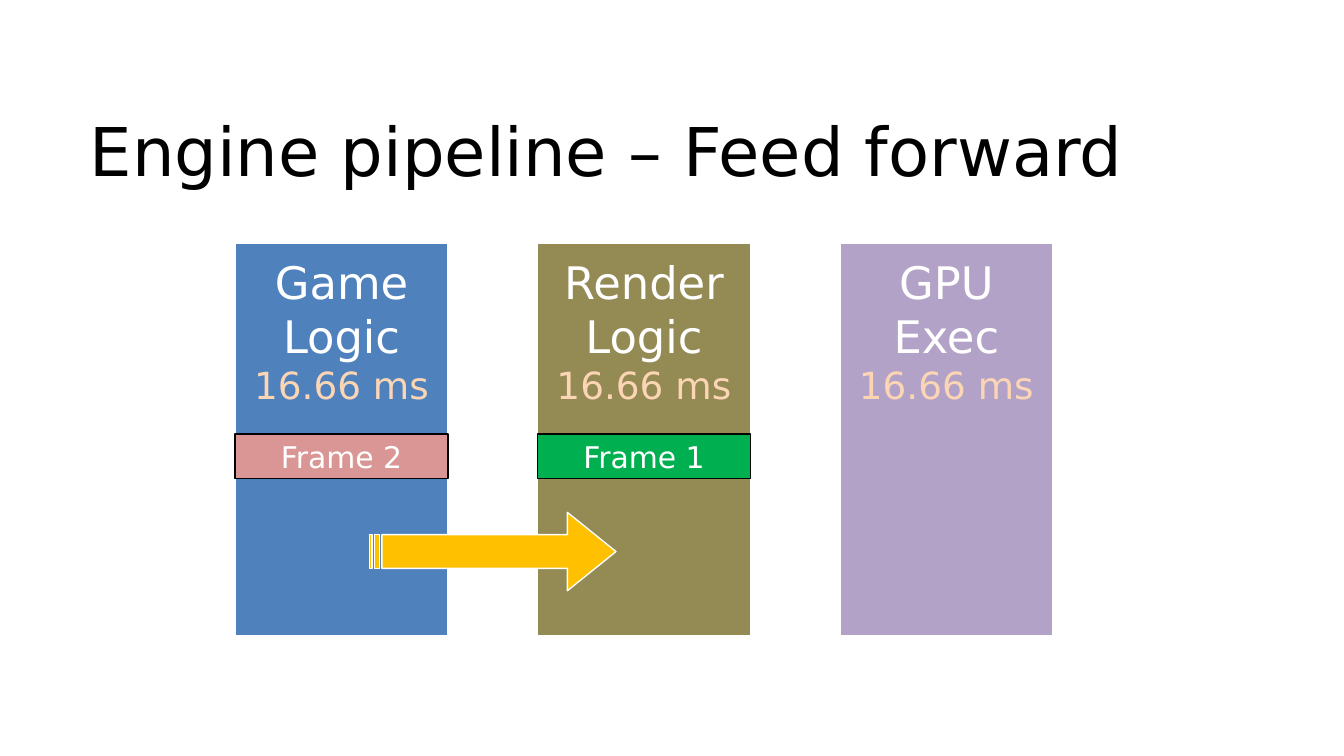
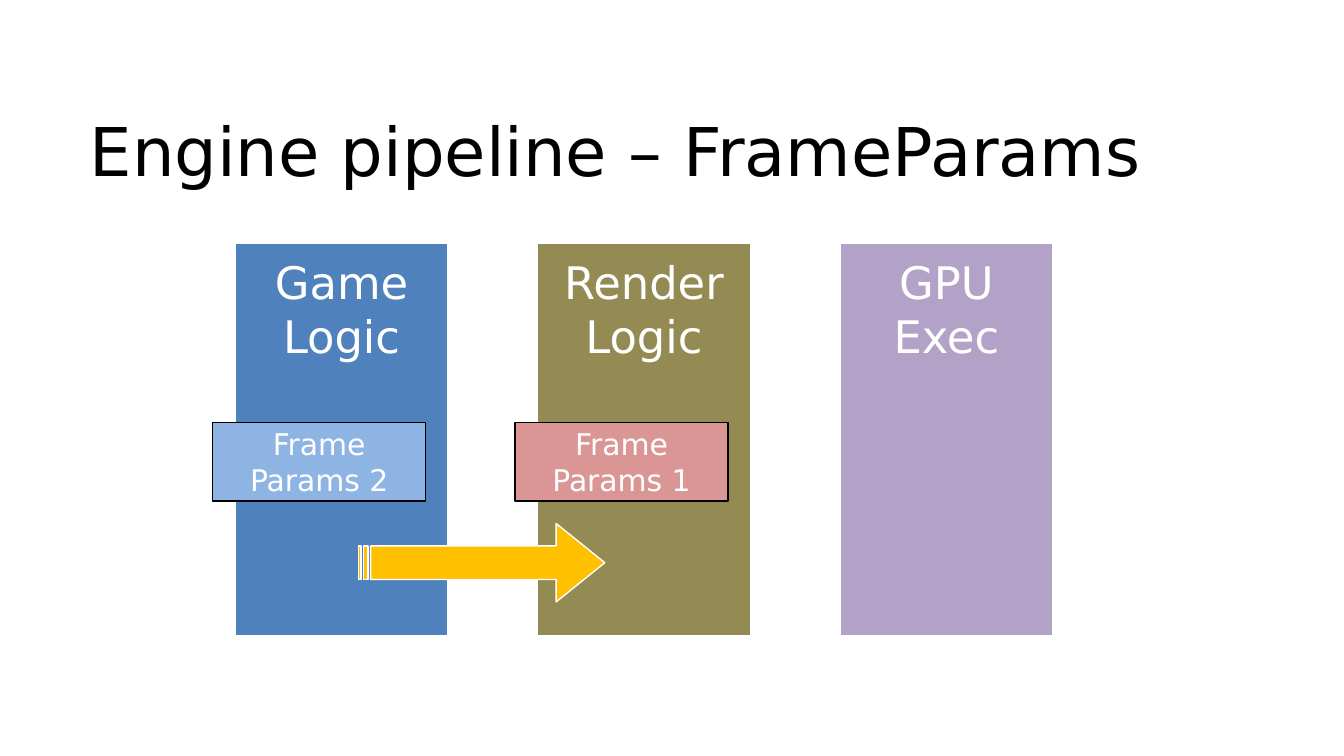
from pptx import Presentation
from pptx.dml.color import RGBColor
from pptx.enum.shapes import MSO_SHAPE
from pptx.enum.text import MSO_ANCHOR, PP_ALIGN
from pptx.util import Pt

RECT = MSO_SHAPE.RECTANGLE
STRIPED_ARROW = MSO_SHAPE.STRIPED_RIGHT_ARROW
TOP, MIDDLE = MSO_ANCHOR.TOP, MSO_ANCHOR.MIDDLE
LEFT, CENTER = PP_ALIGN.LEFT, PP_ALIGN.CENTER

BLACK = RGBColor(0x00, 0x00, 0x00)
WHITE = RGBColor(0xFF, 0xFF, 0xFF)
BLUE = RGBColor(0x4F, 0x81, 0xBD)
OLIVE = RGBColor(0x94, 0x8A, 0x54)
PURPLE = RGBColor(0xB3, 0xA2, 0xC7)
PEACH = RGBColor(0xFC, 0xD5, 0xB5)
ROSE = RGBColor(0xD9, 0x96, 0x94)
GREEN = RGBColor(0x00, 0xB0, 0x50)
SKY = RGBColor(0x8E, 0xB4, 0xE3)
AMBER = RGBColor(0xFF, 0xC0, 0x00)

FONT = "DejaVu Sans"
INSET = 6
STAGE_LEFT, STAGE_TOP, STAGE_PITCH = 126, 130.5, 162
STAGE_WIDTH, STAGE_HEIGHT = 114, 210
STAGES = [("Game Logic", BLUE), ("Render Logic", OLIVE), ("GPU Exec", PURPLE)]


class Deck:
    """Holds the shared style and the current slide."""

    def __init__(self):
        self.prs = Presentation()
        self.prs.slide_width, self.prs.slide_height = Pt(720), Pt(405)
        self.s = None

    def new_slide(self, title):
        self.s = self.prs.slides.add_slide(self.prs.slide_layouts[6])
        sp = self.s.shapes.add_textbox(Pt(42), Pt(52.5), Pt(636), Pt(61))
        self.set_text(sp, [(title, 36, BLACK)], TOP, LEFT)

    def set_text(self, sp, lines, anchor, align):
        """Set one paragraph for each (text, size, colour)."""
        tf = sp.text_frame
        tf.word_wrap = True
        tf.vertical_anchor = anchor
        tf.margin_left = tf.margin_right = Pt(INSET)
        tf.margin_top = tf.margin_bottom = Pt(INSET)
        tf.text = "\n".join(text for text, _, _ in lines)
        for p, (_, size, color) in zip(tf.paragraphs, lines):
            p.alignment = align
            for r in p.runs:
                r.font.name, r.font.size = FONT, Pt(size)
                r.font.color.rgb = color

    def shape(self, kind, x, y, w, h, fill, line):
        sp = self.s.shapes.add_shape(kind, Pt(x), Pt(y), Pt(w), Pt(h))
        sp.shadow.inherit = False
        sp.fill.solid()
        sp.fill.fore_color.rgb = fill
        sp.line.color.rgb = line
        sp.line.width = Pt(0.75)
        return sp

    def stages(self, timing=None):
        for i, (name, fill) in enumerate(STAGES):
            sp = self.shape(RECT, STAGE_LEFT + i * STAGE_PITCH, STAGE_TOP,
                            STAGE_WIDTH, STAGE_HEIGHT, fill, WHITE)
            lines = [(name, 24, WHITE)]
            if timing:
                lines.append((timing, 20, PEACH))
            self.set_text(sp, lines, TOP, CENTER)

    def frames(self, frames, y, h, shift=0):
        """Place one frame box on each stage, starting from the first."""
        for i, (text, fill) in enumerate(frames):
            sp = self.shape(RECT, STAGE_LEFT + shift + i * STAGE_PITCH, y,
                            STAGE_WIDTH, h, fill, BLACK)
            self.set_text(sp, [(text, 16, WHITE)], MIDDLE, CENTER)

    def arrow(self, x, y):
        sp = self.shape(STRIPED_ARROW, x, y, 132, 42, AMBER, WHITE)
        sp.adjustments[0], sp.adjustments[1] = 0.43, 0.62


def main():
    deck = Deck()

    # Slide 1: frames fed from stage to stage
    deck.new_slide("Engine pipeline – Feed forward")
    deck.stages("16.66 ms")
    deck.frames([("Frame 2", ROSE), ("Frame 1", GREEN)], 232.5, 24)
    deck.arrow(198, 274.5)

    # Slide 2: frame parameters passed along
    deck.new_slide("Engine pipeline – FrameParams")
    deck.stages()
    deck.frames([("Frame Params 2", SKY), ("Frame Params 1", ROSE)],
                226.5, 42, shift=-12)
    deck.arrow(192, 280.5)

    deck.prs.save("out.pptx")


if __name__ == "__main__":
    main()
